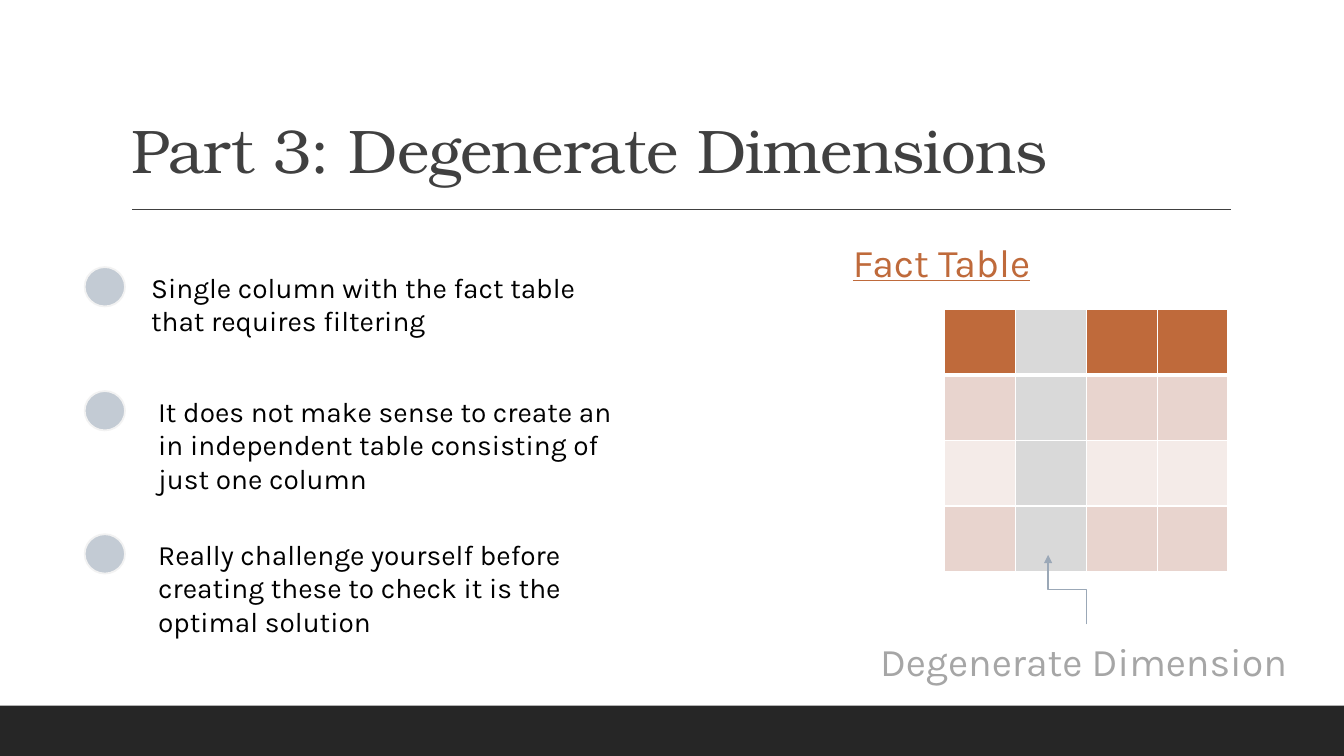
from dataclasses import dataclass

from lxml import etree
from pptx import Presentation
from pptx import util as u
from pptx.dml.color import RGBColor
from pptx.enum import shapes, text
from pptx.oxml import ns


@dataclass(frozen=True)
class Theme:
    heading_font: str = "TeX Gyre Bonum"
    body_font: str = "Karla"
    title_size: int = 44
    label_size: int = 28
    body_size: int = 20
    dark: str = "404040"
    footer: str = "262626"
    black: str = "000000"
    white: str = "FFFFFF"
    accent: str = "BF6A3B"
    band_dark: str = "E8D4CE"
    band_light: str = "F4EBE8"
    highlight: str = "D9D9D9"
    label_grey: str = "A6A6A6"
    marker: str = "C3CBD4"
    marker_line: str = "F2F2F2"
    arrow: str = "9BA8B7"


def inches(*values):
    return [u.Inches(value) for value in values]


def add_xml(parent, tag, **attributes):
    return etree.SubElement(parent, ns.qn(tag), attributes)


class SlideBuilder:
    def __init__(self, page, theme):
        self.page = page
        self.theme = theme

    def set_text(self, frame, words, size, color, font):
        frame.word_wrap = True
        para = frame.paragraphs[0]
        para.text = words
        para.alignment = text.PP_ALIGN.LEFT
        para.font.name = font
        para.font.size = u.Pt(size)
        para.font.color.rgb = RGBColor.from_string(color)
        return para

    def title(self, words, bounds):
        box = self.page.shapes.title
        box.left, box.top, box.width, box.height = inches(*bounds)
        frame = box.text_frame
        frame.auto_size = text.MSO_AUTO_SIZE.NONE
        frame.vertical_anchor = text.MSO_ANCHOR.BOTTOM
        theme = self.theme
        para = self.set_text(frame, words, theme.title_size, theme.dark, theme.heading_font)
        para.line_spacing = 0.9
        para.runs[0].font._element.set("spc", "-50")

    def text_box(self, words, bounds, size, color):
        box = self.page.shapes.add_textbox(*inches(*bounds))
        return self.set_text(box.text_frame, words, size, color, self.theme.body_font)

    def shape(self, kind, bounds, fill, line=None):
        shape = self.page.shapes.add_shape(kind, *inches(*bounds))
        shape.shadow.inherit = False
        shape.fill.solid()
        shape.fill.fore_color.rgb = RGBColor.from_string(fill)
        if line:
            shape.line.color.rgb = RGBColor.from_string(line)
            shape.line.width = u.Pt(1.25)
        else:
            shape.line.fill.background()

    def connector(self, kind, ends, color):
        line = self.page.shapes.add_connector(kind, *inches(*ends))
        line.line.color.rgb = RGBColor.from_string(color)
        line.line.width = u.Pt(1)
        add_xml(line._element.spPr, "a:effectLst")
        return line

    def elbow_arrow(self, ends, color):
        line = self.connector(shapes.MSO_CONNECTOR.ELBOW, ends, color)
        properties = line._element.spPr
        properties.find(ns.qn("a:xfrm")).set("rot", str(270 * 60000))
        add_xml(properties.find(ns.qn("a:ln")), "a:tailEnd", type="triangle")

    def borders(self, cell, bottom):
        properties = cell._tc.get_or_add_tcPr()
        for side, points in (("L", 1), ("R", 1), ("T", 1), ("B", bottom)):
            border = add_xml(properties, f"a:ln{side}", w=str(int(u.Pt(points))))
            fill = add_xml(border, "a:solidFill")
            add_xml(fill, "a:srgbClr", val=self.theme.white)

    def table(self, bounds, colors):
        grid = self.page.shapes.add_table(len(colors), len(colors[0]), *inches(*bounds)).table
        for row, row_colors in enumerate(colors):
            for column, color in enumerate(row_colors):
                cell = grid.cell(row, column)
                self.borders(cell, 3 if row == 0 else 1)
                cell.fill.solid()
                cell.fill.fore_color.rgb = RGBColor.from_string(color)


deck = Presentation()
deck.slide_width, deck.slide_height = inches(13.33, 7.5)
theme = Theme()
slide = SlideBuilder(deck.slides.add_slide(deck.slide_layouts[5]), theme)

slide.shape(shapes.MSO_SHAPE.RECTANGLE, (0, 7, 13.33, 0.5), theme.footer)
slide.connector(shapes.MSO_CONNECTOR.STRAIGHT, (1.31, 2.08, 12.21, 2.08), theme.dark)
slide.title("Part 3: Degenerate Dimensions", (1.2, 0.31, 11.66, 1.59))

row_fills = [theme.accent, theme.band_dark, theme.band_light, theme.band_dark]
fact_columns = [[fill, theme.highlight, fill, fill] for fill in row_fills]
slide.table((9.37, 3.07, 2.81, 2.6), fact_columns)

fact_label = slide.text_box("Fact Table", (8.36, 2.32, 2.03, 0.57), theme.label_size, theme.accent)
fact_label.font.underline = True

points = [
    ("Single column with the fact table that requires filtering", 1.4, 2.63, 0.77),
    ("It does not make sense to create an in independent table consisting of just one column",
     1.47, 3.86, 1.11),
    ("Really challenge yourself before creating these to check it is the optimal solution",
     1.47, 5.28, 1.11),
]
for words, left, top, height in points:
    slide.shape(shapes.MSO_SHAPE.OVAL, (0.84, top + 0.02, 0.4, 0.39), theme.marker, theme.marker_line)
    slide.text_box(words, (left, top, 4.99, height), theme.body_size, theme.black)

slide.elbow_arrow((10.24, 6.04, 10.93, 5.66), theme.arrow)
slide.text_box("Degenerate Dimension", (8.63, 6.27, 4.28, 0.57), theme.label_size, theme.label_grey)

deck.save("out.pptx")
